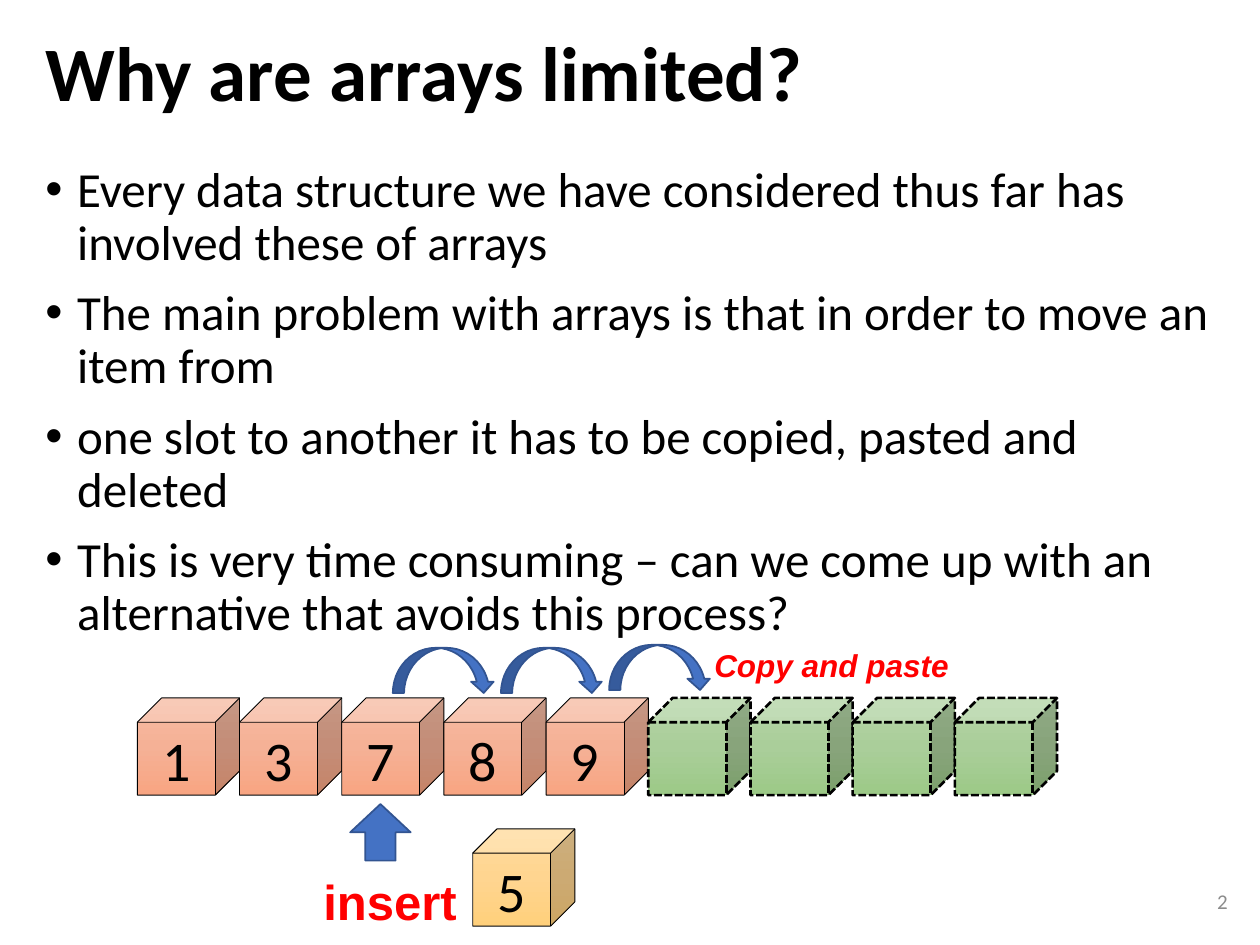
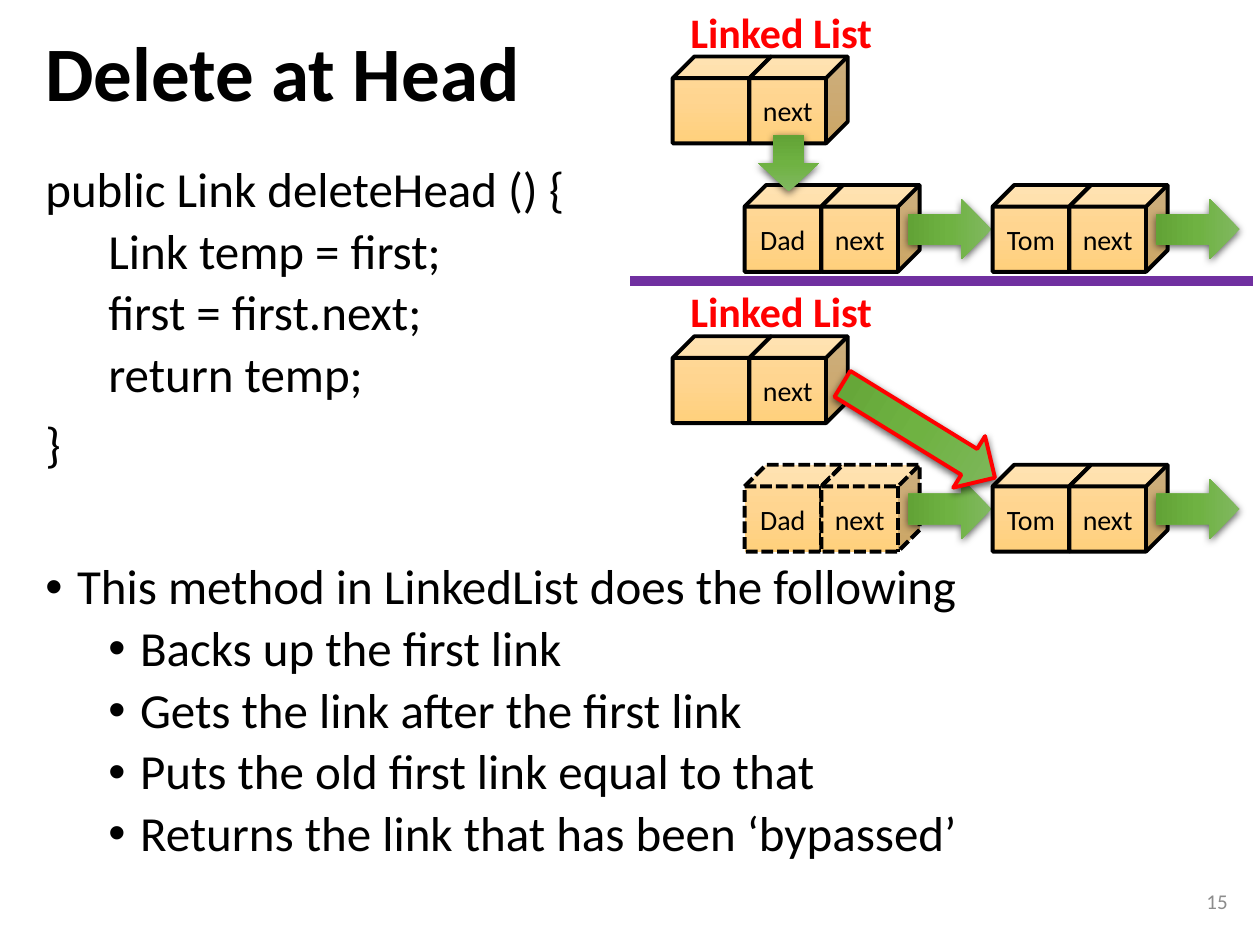
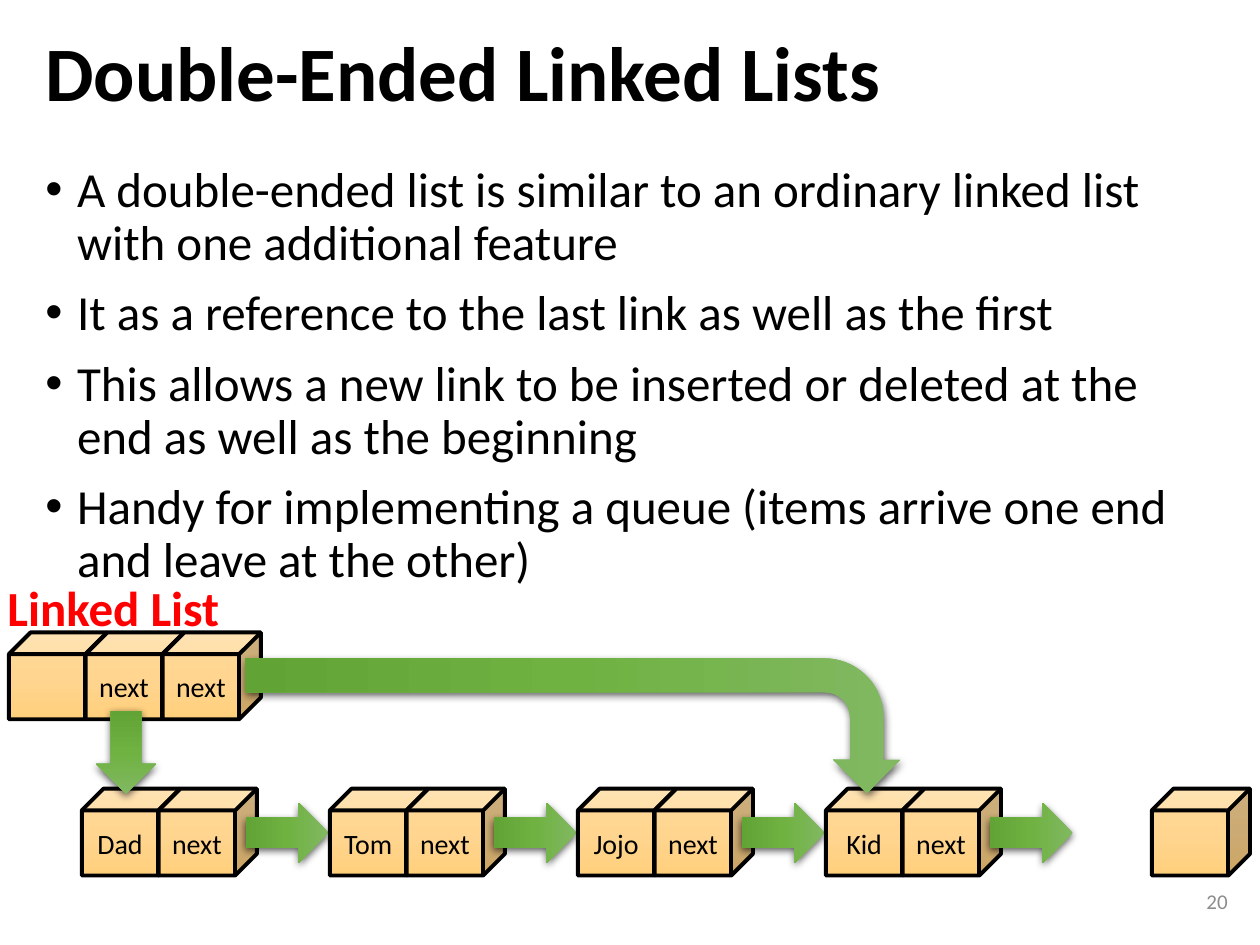
from copy import deepcopy

from lxml.etree import SubElement
from pptx import Presentation
from pptx.dml.color import RGBColor as RGB
from pptx.enum.dml import MSO_LINE as Dash
from pptx.enum.shapes import MSO_CONNECTOR as Wire, MSO_SHAPE as Kind
from pptx.enum.text import MSO_ANCHOR as Anchor, MSO_AUTO_SIZE as Fit, PP_ALIGN as Align
from pptx.oxml.ns import qn
from pptx.util import Cm, Pt

BLACK = RGB(0x00, 0x00, 0x00)
RED = RGB(0xFF, 0x00, 0x00)
GREY = RGB(0x8C, 0x8C, 0x8C)
BLUE = RGB(0x44, 0x72, 0xC4)
NAVY = RGB(0x32, 0x54, 0x91)
PURPLE = RGB(0x70, 0x30, 0xA0)
SALMON = RGB(0xF7, 0xBD, 0xA5), RGB(0xF5, 0xB1, 0x96), RGB(0xF8, 0xA5, 0x82)
MINT = RGB(0xB5, 0xD5, 0xA7), RGB(0xAA, 0xCE, 0x9A), RGB(0x9C, 0xC9, 0x87)
GOLD = RGB(0xFF, 0xDB, 0x9E), RGB(0xFF, 0xD5, 0x90), RGB(0xFF, 0xD0, 0x7C)
GREEN = RGB(0x81, 0xB8, 0x61), RGB(0x6F, 0xB2, 0x42), RGB(0x62, 0xA3, 0x36)

CELL = 2.06
STEP = 5
NEXT = 1.55


class Deck:
    """Holds the shared style and the current slide."""

    def __init__(self):
        self.prs = Presentation()
        self.prs.slide_width, self.prs.slide_height = Cm(25.4), Cm(19.05)

    def start(self, title, items, number):
        self.slide = self.prs.slides.add_slide(self.prs.slide_layouts[1])
        head, body = self.slide.placeholders
        self.place(head, 0.66, 0.38, 24.05, 2.34)
        head.text_frame.vertical_anchor = Anchor.MIDDLE
        self.set_text(head, title, 44, bold=True).line_spacing = 0.9
        self.place(body, 0.66, 3.2, 24.05, 15.16)
        self.fill_list(body.text_frame, items)
        self.label(number, 19.28, 17.65, 5.72, 1.02, 12, GREY, align=Align.RIGHT,
                   anchor=Anchor.MIDDLE, bold=False)

    def place(self, box, x, y, w, h):
        box.left, box.top, box.width, box.height = Cm(x), Cm(y), Cm(w), Cm(h)
        box.text_frame.auto_size = Fit.NONE

    def set_font(self, par, size, color=BLACK, face="Calibri", bold=False, slant=False):
        font = par.font
        font.name, font.size, font.bold, font.italic = face, Pt(size), bold, slant
        font.color.rgb = color

    def set_text(self, box, text, size, color=BLACK, align=Align.LEFT, **style):
        par = box.text_frame.paragraphs[0]
        par.text, par.alignment = text, align
        self.set_font(par, size, color, **style)
        return par

    def fill_list(self, frame, items):
        for i, (text, level, dot, gap) in enumerate(items):
            par = frame.add_paragraph() if i else frame.paragraphs[0]
            par.text, par.level = text, level
            par.line_spacing, par.space_before = 0.9, Pt(gap if i else 0)
            props = par._p.get_or_add_pPr()
            hang = Cm(0.64) if dot else 0
            props.set("marL", str(Cm(1.27) * level + hang))
            props.set("indent", str(-hang))
            if dot:
                SubElement(props, qn("a:buFont"), typeface="Arial")
                SubElement(props, qn("a:buChar"), char="•")
            else:
                SubElement(props, qn("a:buNone"))
            self.set_font(par, 28)

    def label(self, text, x, y, w, h, size, color=RED, anchor=Anchor.TOP, bold=True, **style):
        box = self.slide.shapes.add_textbox(Cm(x), Cm(y), Cm(w), Cm(h))
        box.text_frame.vertical_anchor = anchor
        box.text_frame.word_wrap = True
        self.set_text(box, text, size, color, bold=bold, **style)

    def shape(self, kind, x, y, w, h, fill, line=None, width=1, dash=False, turn=0):
        item = self.slide.shapes.add_shape(kind, Cm(x), Cm(y), Cm(w), Cm(h))
        item.shadow.inherit = False
        item.rotation = turn
        if isinstance(fill, RGB):
            item.fill.solid()
            item.fill.fore_color.rgb = fill
        else:
            self.blend(item, fill)
        if line is None:
            item.line.fill.background()
        else:
            item.line.color.rgb, item.line.width = line, Pt(width)
            if dash:
                item.line.dash_style = Dash.SQUARE_DOT
        return item

    def blend(self, item, tones):
        item.fill.gradient()
        item.fill.gradient_angle = 270
        stops = next(item._element.iter(qn("a:gsLst")))
        stops.insert(1, deepcopy(stops[0]))
        for stop, spot, tone in zip(item.fill.gradient_stops, (0, 0.5, 1), tones):
            stop.position, stop.color.rgb = spot, tone

    def cube(self, text, x, y, w=1.98, h=1.75, fill=GOLD, size=16, width=2.25, dash=False):
        item = self.shape(Kind.CUBE, x, y, w, h, fill, BLACK, width, dash)
        if text:
            frame = item.text_frame
            frame.margin_left = frame.margin_right = 0
            frame.vertical_anchor = Anchor.MIDDLE
            self.set_text(item, text, size, align=Align.CENTER)

    def arrow(self, x, y, turn, h=1.68, w=1.22, kind=Kind.UP_ARROW, line=None):
        item = self.shape(kind, x, y, w, h, GREEN, line, 2.25, turn=turn)
        effect = next(item._element.iter(qn("a:effectLst")))
        shade = SubElement(effect, qn("a:outerShdw"), blurRad=str(Pt(4.5)),
                           dist=str(Pt(1.5)), dir="5400000", rotWithShape="0")
        tone = SubElement(shade, qn("a:srgbClr"), val=str(BLACK))
        SubElement(tone, qn("a:alpha"), val="63000")

    def link(self, name, x, y, dash=False):
        self.cube(name, x, y, dash=dash)
        self.cube("next", x + NEXT, y, dash=dash)
        self.arrow(x + 3.53, y + 0.05, 90)

    def chain(self, names, x, y, gone=""):
        for i, name in enumerate(names):
            self.link(name, x + STEP * i, y, name == gone)

    def head(self, x, y, count=1):
        self.cube("", x, y)
        for i in range(1, count + 1):
            self.cube("next", x + NEXT * i, y)

    def rule(self, x, y, end, color, width):
        line = self.slide.shapes.add_connector(Wire.STRAIGHT, Cm(x), Cm(y), Cm(end), Cm(y))
        line.line.color.rgb, line.line.width = color, Pt(width)
        SubElement(line._element.spPr, qn("a:effectLst"))


def points(*texts):
    return [(text, 0, True, 10) for text in texts]


def arrays(deck):
    deck.start("Why are arrays limited?", points(
        "Every data structure we have considered thus far has involved these of arrays",
        "The main problem with arrays is that in order to move an item from",
        "one slot to another it has to be copied, pasted and deleted",
        "This is very time consuming – can we come up with an alternative that avoids this process?",
    ), "2")
    full = ["1", "3", "7", "8", "9"]
    for i, text in enumerate(full + [""] * 4):
        fill, width = (SALMON, 0.5) if text else (MINT, 1.5)
        deck.cube(text, 2.77 + CELL * i, 14.07, CELL, 1.96, fill, 32, width, not text)
    deck.label("insert", 6.27, 17.45, 4.67, 1.45, 28, face="Arial")
    deck.shape(Kind.UP_ARROW, 7.06, 16.21, 1.22, 1.14, BLUE, NAVY)
    deck.cube("5", 9.53, 16.71, CELL, 1.96, GOLD, 32, 0.5)
    for i, y in enumerate((13.06, 13.06, 13)):
        deck.shape(Kind.CURVED_DOWN_ARROW, 7.92 + 2.18 * i, y, CELL, 0.91, BLUE, NAVY)
    deck.label("Copy and paste", 14.15, 12.9, 5.5, 1.02, 18, face="Arial", slant=True)


def delete(deck):
    code = ["Link temp = first;", "first = first.next;", "return temp;"]
    steps = ["Backs up the first link", "Gets the link after the first link",
             "Puts the old first link equal to that", "Returns the link that has been ‘bypassed’"]
    deck.start("Delete at Head", [
        ("public Link deleteHead () {", 0, False, 10),
        *[(text, 1, False, 5) for text in code],
        ("}", 0, False, 10),
        ("This method in LinkedList does the following", 0, True, 51),
        *[(text, 1, True, 5) for text in steps],
    ], "15")
    for y, gone in ((0, ""), (5.64, "Dad")):
        deck.chain(["Dad", "Tom"], 15.01, y + 3.73, gone)
        deck.label("Linked List", 13.67, y, 4.6, 1.27, 24)
        deck.head(13.56, y + 1.14)
    deck.arrow(15.29, 2.72, 180, 1.14)
    deck.arrow(17.91, 6.88, 121.6, 3.61, line=RED)
    deck.rule(12.7, 5.66, 25.25, PURPLE, 6)


def double(deck):
    deck.start("Double-Ended Linked Lists", points(
        "A double-ended list is similar to an ordinary linked list with one additional feature",
        "It as a reference to the last link as well as the first",
        "This allows a new link to be inserted or deleted at the end as well as the beginning",
        "Handy for implementing a queue (items arrive one end and leave at the other)",
    ), "20")
    deck.chain(["Dad", "Tom", "Jojo", "Kid"], 1.65, 15.9)
    deck.cube("", 23.22, 15.9)
    deck.label("Linked List", -0.1, 11.51, 5.2, 1.45, 28)
    deck.head(0.18, 12.75, 2)
    deck.arrow(1.93, 14.33, 180)
    deck.arrow(10.19, 8.03, 90, 13.21, 2.72, Kind.BENT_ARROW)


def main():
    deck = Deck()
    for build in (arrays, delete, double):
        build(deck)
    deck.prs.save("out.pptx")


if __name__ == "__main__":
    main()
